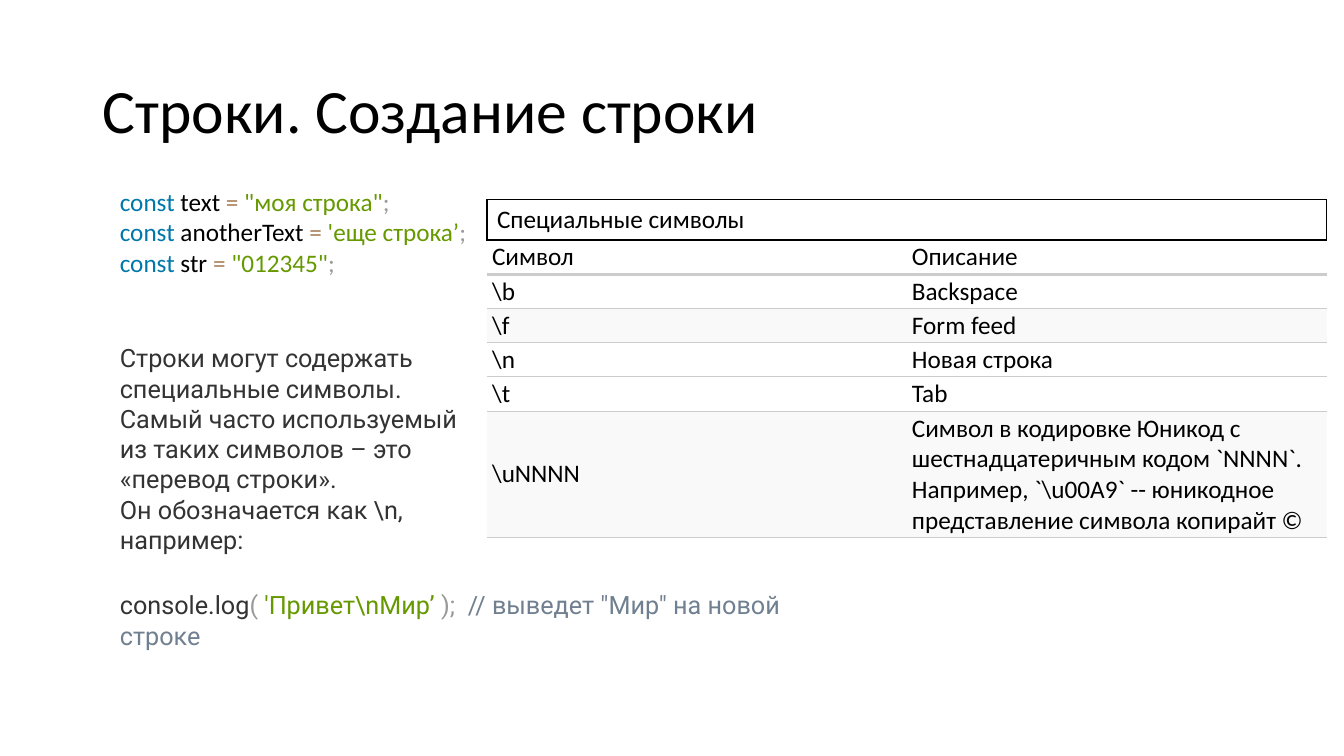
from lxml import etree
from pptx import Presentation
from pptx import util as u
from pptx.dml.color import RGBColor
from pptx.enum import text
from pptx.oxml import ns

COLORS = {
    "black": "000000", "white": "FFFFFF", "stripe": "F9F9F9", "rule": "CCCCCC",
    "keyword": "0077AA", "operator": "A67F59", "string": "669900",
    "mark": "999999", "body": "333333", "comment": "708090",
}
NO_STYLE = "{2D5ABB26-0587-4C30-8999-92F81FD0307C}"

DECLARATIONS = [
    ("text", '"моя строка"'),
    ("anotherText", "'еще строка’"),
    ("str", '"012345"'),
]
EXPLANATION = [
    "Строки могут содержать специальные символы. Самый часто используемый "
    "из таких символов – это «перевод строки».",
    "Он обозначается как\u00a0\\n, например:",
]
CONSOLE_CALL = [
    ("console.log", "body"), ("( ", "mark"), ("'Привет\\nМир’ ", "string"),
    (");  ", "mark"), ('// выведет "Мир" на новой строке', "comment"),
]
SYMBOLS = [
    ("\\b", "Backspace"),
    ("\\f", "Form feed"),
    ("\\n", "Новая строка"),
    ("\\t", "Tab"),
    ("\\uNNNN", "Символ в кодировке Юникод с шестнадцатеричным кодом `NNNN`. "
                "Например, `\\u00A9` -- юникодное представление символа копирайт ©"),
]


def color(name):
    return RGBColor.from_string(COLORS[name])


def set_attributes(target, values):
    for name, value in values.items():
        setattr(target, name, value)


def add_run(paragraph, words, color_name, font="Calibri", size=18):
    run = paragraph.add_run()
    run.text = words
    set_attributes(run.font, {"name": font, "size": u.Pt(size), "bold": False})
    run.font.color.rgb = color(color_name)


def add_text(slide, box, lines, font):
    """Add a wrapped text box; each line is a list of (words, color name)."""
    frame = slide.shapes.add_textbox(*map(u.Inches, box)).text_frame
    frame.word_wrap = True
    for index, line in enumerate(lines):
        paragraph = frame.add_paragraph() if index else frame.paragraphs[0]
        for words, color_name in line:
            add_run(paragraph, words, color_name, font)


def add_title(slide, box, words):
    title = slide.shapes.title
    left, top, width, height = map(u.Inches, box)
    set_attributes(title, {"left": left, "top": top, "width": width, "height": height})
    set_attributes(title.text_frame, {
        "vertical_anchor": text.MSO_ANCHOR.MIDDLE,
        "word_wrap": True,
        "auto_size": text.MSO_AUTO_SIZE.NONE,
    })
    paragraph = title.text_frame.paragraphs[0]
    set_attributes(paragraph, {"alignment": text.PP_ALIGN.LEFT, "line_spacing": 0.9})
    add_run(paragraph, words, "black", size=44)


def set_borders(cell, borders):
    """Draw the sides given as {side: (color name, points)} and clear the others."""
    properties = cell._tc.get_or_add_tcPr()
    for side in "LRTB":
        line = etree.SubElement(properties, ns.qn(f"a:ln{side}"))
        if side in borders:
            color_name, points = borders[side]
            line.set("w", str(u.Pt(points)))
            fill = etree.SubElement(line, ns.qn("a:solidFill"))
            etree.SubElement(fill, ns.qn("a:srgbClr")).set("val", COLORS[color_name])
        else:
            line.set("w", "0")
            etree.SubElement(line, ns.qn("a:noFill"))


def fill_cell(cell, words, fill_name, borders, **layout):
    set_borders(cell, borders)
    cell.fill.solid()
    cell.fill.fore_color.rgb = color(fill_name)
    set_attributes(cell, {"vertical_anchor": text.MSO_ANCHOR.MIDDLE, **layout})
    if words:
        add_run(cell.text_frame.paragraphs[0], words, "black")


def add_symbol_table(slide, box):
    left, top, width, height = box
    heading_height, row_height = 0.4, 0.34
    row_count = len(SYMBOLS) + 2
    table = slide.shapes.add_table(row_count, 2, *map(u.Inches, box)).table
    table._tbl.tblPr.find(ns.qn("a:tableStyleId")).text = NO_STYLE
    set_attributes(table, {"first_row": False, "horz_banding": False})
    for column in table.columns:
        column.width = u.Inches(width / 2)
    last_height = height - heading_height - row_height * (row_count - 2)
    heights = [heading_height, *[row_height] * (row_count - 2), last_height]
    for row, row_size in zip(table.rows, heights):
        row.height = u.Inches(row_size)

    heading, covered = table.cell(0, 0), table.cell(0, 1)
    heading.merge(covered)
    outline = ("black", 1)
    fill_cell(heading, "Специальные символы", "white",
              {"L": outline, "R": outline, "T": outline, "B": ("black", 1.5)})
    fill_cell(covered, "", "white", {"R": outline, "T": outline})

    margins = {
        "margin_left": u.Inches(0.05), "margin_right": u.Inches(0.1),
        "margin_top": u.Inches(0.02), "margin_bottom": u.Inches(0.02),
    }
    thick, thin = ("rule", 2.25), ("rule", 0.75)
    for index, words in enumerate(("Символ", "Описание")):
        borders = {"B": thick} if index else {"T": ("black", 1.5), "B": thick}
        fill_cell(table.cell(1, index), words, "white", borders,
                  **{**margins, "vertical_anchor": text.MSO_ANCHOR.BOTTOM})
    for row, symbol in enumerate(SYMBOLS):
        fill_name = "stripe" if row in (1, 4) else "white"
        borders = {"T": thin if row else thick, "B": thin}
        for column, words in enumerate(symbol):
            fill_cell(table.cell(row + 2, column), words, fill_name, borders, **margins)


def build_slide(presentation):
    slide = presentation.slides.add_slide(presentation.slide_layouts[5])
    add_title(slide, (0.92, 0.4, 11.5, 1.45), "Строки. Создание строки")
    declarations = [
        [("const", "keyword"), (f" {name} ", "black"), ("= ", "operator"),
         (value, "string"), (";", "mark")]
        for name, value in DECLARATIONS
    ]
    add_text(slide, (1.09, 1.8, 6.67, 1.01), declarations, "Calibri")
    explanation = [[(words, "body")] for words in EXPLANATION]
    add_text(slide, (1.09, 3.35, 3.74, 2.83), explanation, "Roboto")
    add_text(slide, (1.09, 5.8, 7.42, 1.01), [CONSOLE_CALL], "Roboto")
    add_symbol_table(slide, (4.83, 1.98, 8.33, 3.35))


def main():
    presentation = Presentation()
    set_attributes(presentation, {
        "slide_width": u.Inches(13.33), "slide_height": u.Inches(7.5),
    })
    build_slide(presentation)
    presentation.save("out.pptx")


if __name__ == "__main__":
    main()
